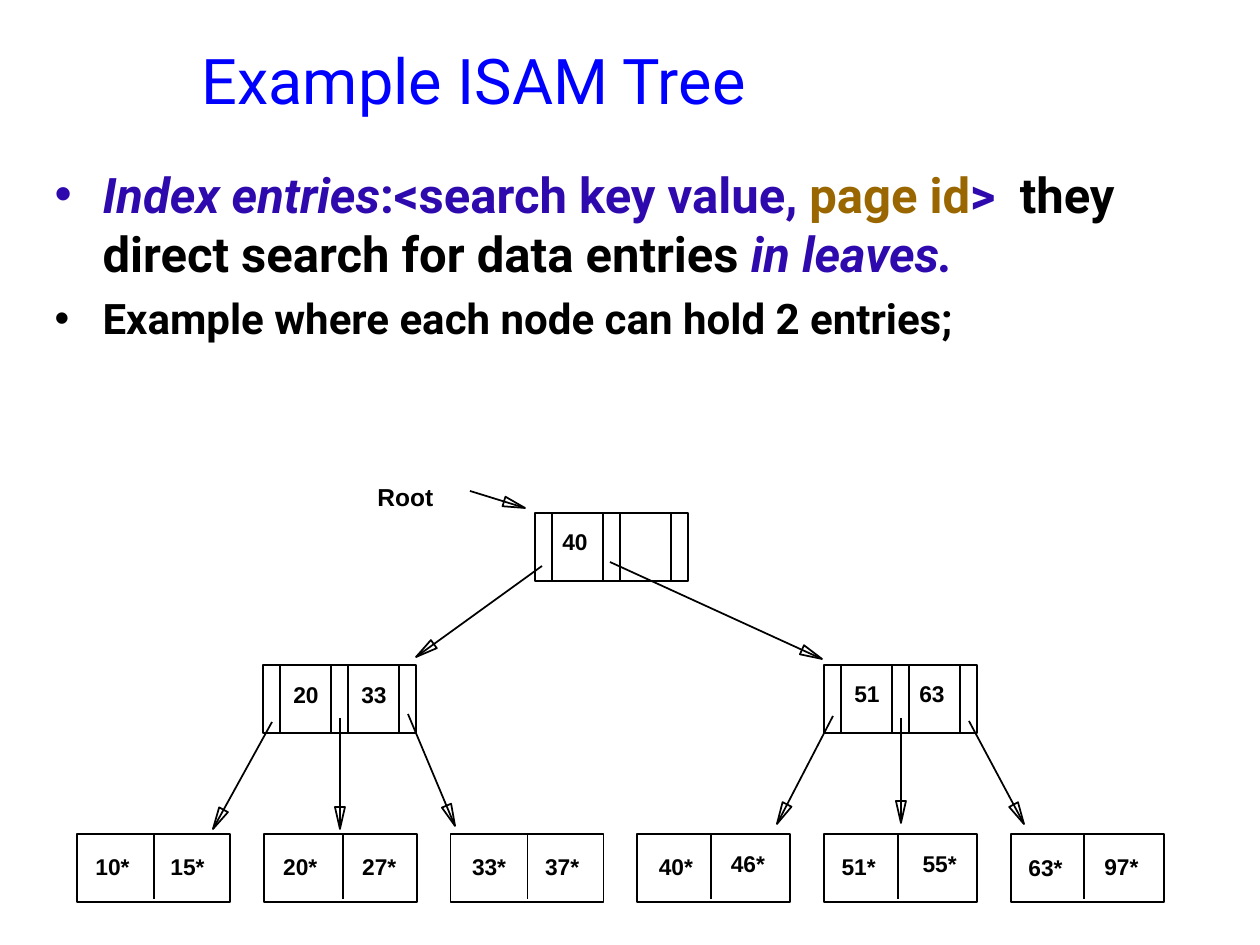
import math

from lxml import etree
from pptx import Presentation
from pptx.dml.color import RGBColor
from pptx.enum.shapes import MSO_CONNECTOR, MSO_SHAPE
from pptx.enum.text import MSO_ANCHOR, MSO_AUTO_SIZE, PP_ALIGN
from pptx.oxml.ns import qn
from pptx.util import Emu, Pt

STRAIGHT = MSO_CONNECTOR.STRAIGHT
RECTANGLE = MSO_SHAPE.RECTANGLE
MIDDLE, TOP = MSO_ANCHOR.MIDDLE, MSO_ANCHOR.TOP
FIXED, GROW = MSO_AUTO_SIZE.NONE, MSO_AUTO_SIZE.SHAPE_TO_FIT_TEXT
LEFT = PP_ALIGN.LEFT

BLACK, BLUE, VIOLET, BROWN = "000000", "0000FF", "2E09AE", "996600"
NODE_WIDTH, NODE_HEIGHT = 153, 68
POINTER_WIDTH, KEY_WIDTH = 17, 51
HEAD_LENGTH, HEAD_HALF_WIDTH = 22, 5

BULLETS = [
    (28, 7, VIOLET, [
        ("Index entries", VIOLET, True),
        (":<search key value, ", VIOLET, False),
        ("page id", BROWN, False),
        (">", VIOLET, False),
        ("  they direct search for data entries ", BLACK, False),
        ("in leaves.", VIOLET, True),
    ]),
    (24, 6, BLACK, [("Example where each node can hold 2 entries;", BLACK, False)]),
]
INNER_NODES = [
    (535, 513, [("40", 15, 9)]),
    (263, 665, [("20", 18, 10), ("33", 86, 10)]),
    (824, 665, [("51", 18, 9), ("63", 83, 9)]),
]
LEAVES = [
    (77, [("10*", 6, 13), ("15*", 81, 13)]),
    (79, [("20*", 7, 13), ("27*", 86, 13)]),
    (77, [("33*", 9, 13), ("37*", 82, 13)]),
    (74, [("40*", 9, 13), ("46*", 81, 10)]),
    (74, [("51*", 5, 13), ("55*", 86, 10)]),
    (73, [("63*", 5, 14), ("97*", 81, 13)]),
]
ARROWS = [
    ((470, 491), (525, 508)),
    ((542, 566), (416, 657)),
    ((610, 562), (822, 659)),
    ((272, 722), (213, 829)),
    ((340, 718), (340, 829)),
    ((408, 714), (455, 826)),
    ((833, 716), (777, 824)),
    ((901, 718), (901, 823)),
    ((969, 721), (1024, 824)),
]


def px(value):
    return Emu(round(value * 914400 / 126))


def color(value):
    return RGBColor.from_string(value)


def place(shape, left, top, width, height):
    shape.left, shape.top = px(left), px(top)
    shape.width, shape.height = px(width), px(height)


def add_span(para, text, size, font, hue, bold=False, italic=False):
    span = para.add_run()
    span.text = text
    span.font.size = Pt(size)
    span.font.name = font
    span.font.bold = bold
    span.font.italic = italic
    span.font.color.rgb = color(hue)


def outline(shape):
    shape.line.color.rgb = color(BLACK)
    shape.line.width = Pt(1)


def add_line(page, start, end):
    line = page.shapes.add_connector(STRAIGHT, *map(px, start + end))
    outline(line)
    etree.SubElement(line.element.spPr, qn("a:effectLst"))


def add_arrow(page, start, end):
    add_line(page, start, end)
    angle = math.atan2(end[1] - start[1], end[0] - start[0])
    back_x = end[0] - HEAD_LENGTH * math.cos(angle)
    back_y = end[1] - HEAD_LENGTH * math.sin(angle)
    across = HEAD_HALF_WIDTH * math.sin(angle)
    along = HEAD_HALF_WIDTH * math.cos(angle)
    corners = [(back_x - across, back_y + along), (back_x + across, back_y - along)]
    builder = page.shapes.build_freeform(px(end[0]), px(end[1]), 1.0)
    builder.add_line_segments([(px(x), px(y)) for x, y in corners], close=True)
    head = builder.convert_to_shape()
    head.fill.background()
    head.shadow.inherit = False
    outline(head)


def add_label(page, text, left, top, width, size=13):
    box = page.shapes.add_textbox(px(left), px(top), px(width), px(40))
    box.text_frame.word_wrap = False
    box.text_frame.auto_size = GROW
    add_span(box.text_frame.paragraphs[0], text, size, "Arial", BLACK, bold=True)


def add_node(page, left, top, dividers, labels, label_width):
    node = page.shapes.add_shape(
        RECTANGLE, px(left), px(top), px(NODE_WIDTH), px(NODE_HEIGHT))
    node.fill.background()
    node.shadow.inherit = False
    outline(node)
    for offset, start, end in dividers:
        add_line(page, (left + offset, top + start), (left + offset, top + end))
    for text, across, down in labels:
        add_label(page, text, left + across, top + down, label_width)


def add_inner_node(page, left, top, labels):
    pitch = POINTER_WIDTH + KEY_WIDTH
    offsets = [i * pitch + step for i in range(2) for step in (POINTER_WIDTH, pitch)]
    dividers = [(offset, 0, NODE_HEIGHT) for offset in offsets]
    add_node(page, left, top, dividers, labels, 50)


def add_leaf_row(page, left, top, right):
    pitch = (right - left - NODE_WIDTH) / (len(LEAVES) - 1)
    for index, (offset, labels) in enumerate(LEAVES):
        add_node(page, left + index * pitch, top, [(offset, 1, 65)], labels, 59)


def fill_title(page, left, top, width, height):
    title = page.shapes.title
    place(title, left, top, width, height)
    title.text_frame.vertical_anchor = MIDDLE
    title.text_frame.auto_size = FIXED
    para = title.text_frame.paragraphs[0]
    para.alignment = LEFT
    add_span(para, "Example ISAM Tree", 36, "Roboto", BLUE)


def set_bullet(para, hue):
    props = para._p.get_or_add_pPr()
    props.set("marL", str(px(48)))
    props.set("indent", str(-px(48)))
    tint = etree.SubElement(props, qn("a:buClr"))
    etree.SubElement(tint, qn("a:srgbClr")).set("val", hue)
    etree.SubElement(props, qn("a:buFont")).set("typeface", "Arial")
    etree.SubElement(props, qn("a:buChar")).set("char", "•")


def fill_body(page, left, top, width, height):
    body = page.placeholders[1]
    place(body, left, top, width, height)
    frame = body.text_frame
    frame.vertical_anchor = TOP
    frame.auto_size = FIXED
    for index, (size, space, hue, spans) in enumerate(BULLETS):
        para = frame.add_paragraph() if index else frame.paragraphs[0]
        para.space_before = Pt(space)
        set_bullet(para, hue)
        for text, span_hue, italic in spans:
            add_span(para, text, size, "Roboto", span_hue, True, italic)


def add_tree(page):
    add_leaf_row(page, 77, 834, 1164)
    for left, top, labels in INNER_NODES:
        add_inner_node(page, left, top, labels)
    for start, end in ARROWS:
        add_arrow(page, start, end)
    add_label(page, "Root", 365, 476, 82, 14)


def main():
    deck = Presentation()
    deck.slide_width, deck.slide_height = px(1260), px(945)
    page = deck.slides.add_slide(deck.slide_layouts[1])
    fill_title(page, 189, 0, 1071, 158)
    fill_body(page, 42, 158, 1187, 567)
    add_tree(page)
    deck.save("out.pptx")


if __name__ == "__main__":
    main()
